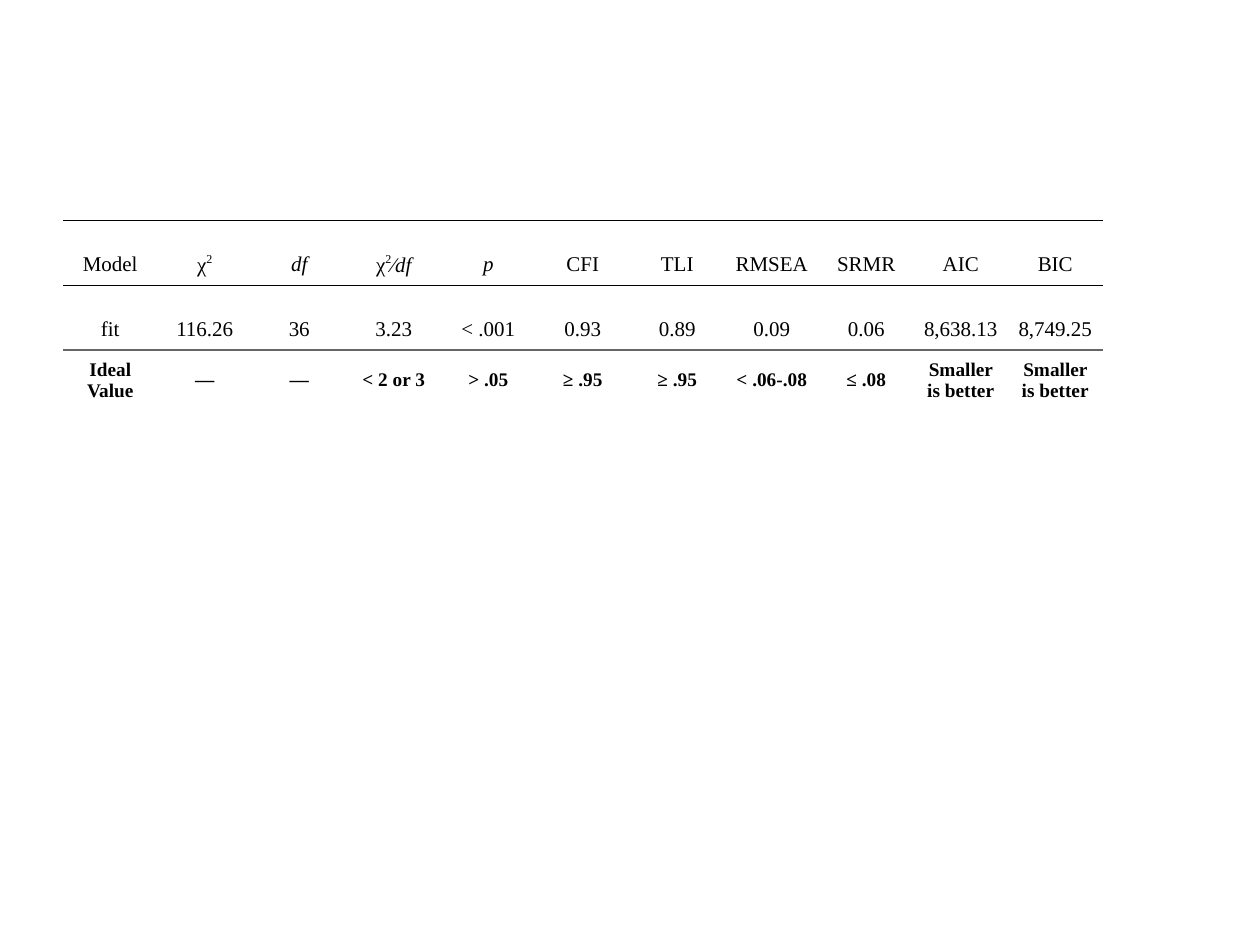
from lxml.etree import SubElement
from pptx import Presentation
from pptx.dml.color import RGBColor
from pptx.enum.text import MSO_ANCHOR as Anchor, PP_ALIGN as Align
from pptx.oxml.ns import qn
from pptx.util import Inches, Pt

NO_STYLE = "{2D5ABB26-0587-4C30-8999-92F81FD0307C}"
INSET = Inches(0.07)
COLUMN, ROW = Inches(0.75), Inches(0.25)
THIN, STRONG = ("000000", 0.5), ("666666", 1)

# A cell is a list of (text, style) runs; style is "", "i" or "sup".
CHI_SQUARE = [("χ", ""), ("2", "sup")]
HEADINGS = ["Model", CHI_SQUARE, [("df", "i")],
            CHI_SQUARE + [("∕", ""), ("df", "i")], [("p", "i")],
            "CFI", "TLI", "RMSEA", "SRMR", "AIC", "BIC"]
FIT = ["fit", "116.26", "36", "3.23", "< .001", "0.93", "0.89", "0.09",
       "0.06", "8,638.13", "8,749.25"]
IDEAL = ["Ideal Value", "—", "—", "< 2 or 3", "> .05", "≥ .95", "≥ .95",
         "< .06-.08", "≤ .08", "Smaller is better", "Smaller is better"]

BODY = {"size": Pt(12), "bold": False}
ROWS = [
    {"cells": HEADINGS, "font": BODY, "spacing": 2.0,
     "rules": {"lnT": THIN, "lnB": THIN}},
    {"cells": FIT, "font": BODY, "spacing": 2.0,
     "rules": {"lnT": THIN, "lnB": STRONG}},
    {"cells": IDEAL, "font": {"size": Pt(11), "bold": True}, "spacing": 1.0,
     "rules": {"lnT": STRONG}},
]


def color(hex_value):
    return RGBColor.from_string(hex_value)


def assign(target, values):
    for name, value in values.items():
        setattr(target, name, value)


def draw_rules(cell, rules):
    """Give the cell the named border lines and switch the others off."""
    properties = cell._tc.get_or_add_tcPr()
    for side in ("lnL", "lnR", "lnT", "lnB"):
        line = SubElement(properties, qn(f"a:{side}"))
        if side in rules:
            hex_value, points = rules[side]
            line.set("w", str(Pt(points)))
            fill = SubElement(line, qn("a:solidFill"))
            SubElement(fill, qn("a:srgbClr")).set("val", hex_value)
        else:
            SubElement(line, qn("a:noFill"))


def write_cell(cell, content, font, spacing):
    assign(cell, {"margin_left": 0, "margin_right": 0, "margin_top": INSET,
                  "margin_bottom": INSET, "vertical_anchor": Anchor.MIDDLE})
    paragraph = cell.text_frame.paragraphs[0]
    assign(paragraph, {"alignment": Align.CENTER, "line_spacing": spacing,
                       "space_before": Pt(5), "space_after": Pt(5)})
    indents = paragraph._p.get_or_add_pPr()
    for name, value in {"marL": INSET, "marR": INSET, "indent": 0}.items():
        indents.set(name, str(value))
    runs = [(content, "")] if isinstance(content, str) else content
    for text, style in runs:
        run = paragraph.add_run()
        run.text = text
        assign(run.font, {"name": "Times New Roman", "italic": style == "i", **font})
        run.font.color.rgb = color("000000")
        if style == "sup":
            run.font._element.set("baseline", "40000")


def add_fit_table(slide, left, top, width, height):
    frame = slide.shapes.add_table(len(ROWS), len(HEADINGS), left, top, width, height)
    table = frame.table
    assign(table, {"first_row": False, "horz_banding": False})
    table._tbl.tblPr.find(qn("a:tableStyleId")).text = NO_STYLE
    for column in table.columns:
        column.width = COLUMN
    for row, model in zip(table.rows, ROWS):
        row.height = ROW
        for cell, content in zip(row.cells, model["cells"]):
            write_cell(cell, content, model["font"], model["spacing"])
            draw_rules(cell, model["rules"])
            cell.fill.background()
    assign(frame, {"width": width, "height": height})


def main():
    deck = Presentation()
    assign(deck, {"slide_width": Inches(10), "slide_height": Inches(7.5)})
    wide, high = deck.slide_width, deck.slide_height
    slide = deck.slides.add_slide(deck.slide_layouts[6])
    add_fit_table(slide, int(wide * 0.05), Inches(1.75), int(wide * 0.9), int(high * 0.66))
    deck.save("out.pptx")


if __name__ == "__main__":
    main()
